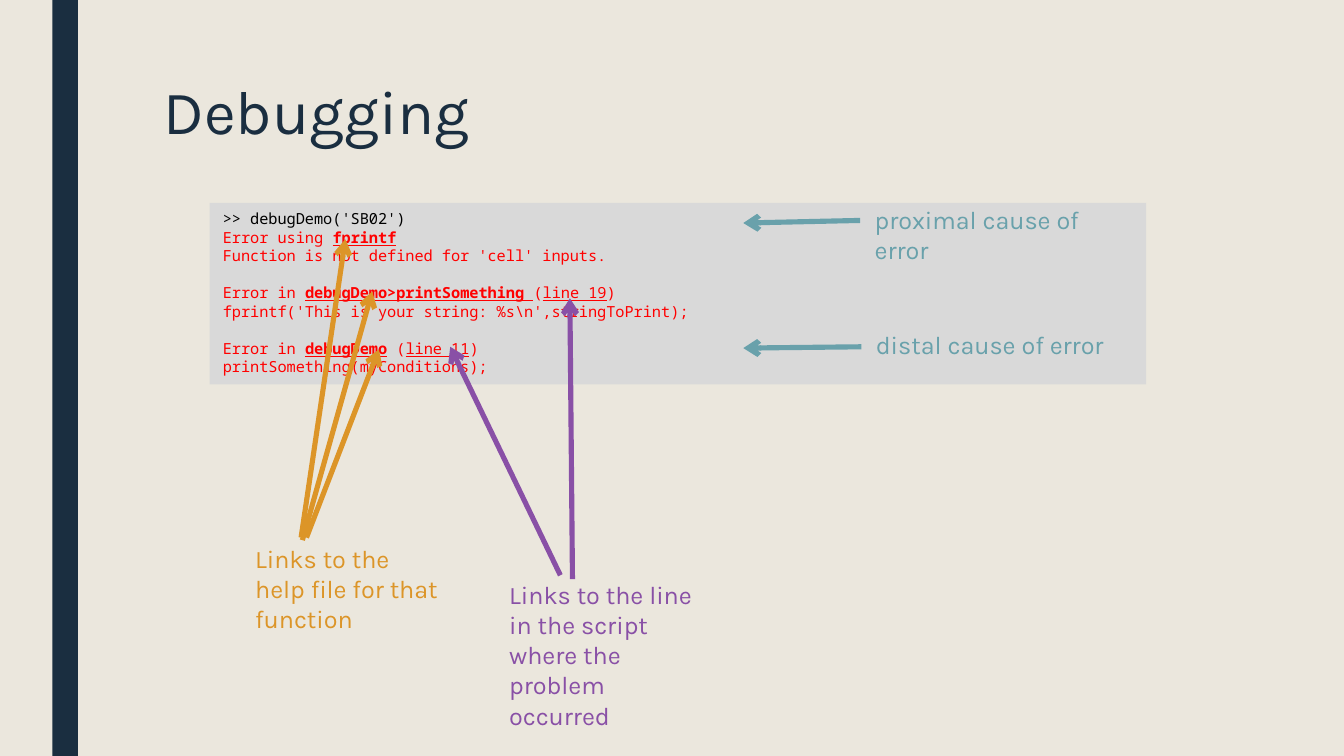
"""Build a slide that explains the parts of a debugging error message."""
from lxml import etree
from pptx import Presentation
from pptx.dml.color import RGBColor
from pptx.enum import shapes, text
from pptx.oxml import ns
from pptx.util import Pt

NAVY = RGBColor(0x1A, 0x2E, 0x40)
SAND = RGBColor(0xEB, 0xE7, 0xDD)
GRAY = RGBColor(0xD9, 0xD9, 0xD9)
BLACK = RGBColor(0, 0, 0)
RED = RGBColor(0xFF, 0, 0)
GOLD = RGBColor(0xDC, 0x95, 0x28)
PLUM = RGBColor(0x89, 0x50, 0xA6)
TEAL = RGBColor(0x69, 0xA1, 0xAB)

SANS, MONO = "Karla", "Noto Sans Mono"
PITCH = 9.9

# Each line: colour, gap before, runs of (words, bold, underline)
CODE = [
    (BLACK, 0, [(">> debugDemo('SB02')", False, False)]),
    (RED, 0, [("Error using ", False, False), ("fprintf", True, True)]),
    (RED, 0, [("Function is not defined for 'cell' inputs.", False, False)]),
    (RED, PITCH, [("Error in ", False, False),
                  ("debugDemo>printSomething ", True, True),
                  ("(", False, False), ("line 19", False, True),
                  (")", False, False)]),
    (RED, 0, [("fprintf('This is your string: %s\\n',stringToPrint);",
               False, False)]),
    (RED, PITCH, [("Error in ", False, False), ("debugDemo", True, True),
                  (" (", False, False), ("line 11", False, True),
                  (")", False, False)]),
    (RED, 0, [("printSomething(myConditions);", False, False)]),
]

# Each note: words, colour, box, arrows as (x1, y1, x2, y2)
NOTES = [
    ("Links to the help file for that function", GOLD,
     (129.6, 287.3, 113.8, 56.2),
     [(161.3, 288, 185, 128.2), (162, 289.4, 199.4, 156.2),
      (164.2, 288, 203, 187.2)]),
    ("Links to the line in the script where the problem occurred", PLUM,
     (265.7, 306.7, 113.8, 72.7),
     [(306.7, 310.3, 305.3, 159.8), (300.2, 308.2, 241.2, 185.8)]),
    ("proximal cause of error", TEAL, (461.5, 105.8, 146.9, 23.8),
     [(460.8, 118.1, 398.2, 119.5)]),
    ("distal cause of error", TEAL, (462.2, 172.8, 146.9, 23.8),
     [(461.5, 185.8, 398.2, 186.5)]),
]


def rect(slide, box, color):
    form = slide.shapes.add_shape(shapes.MSO_SHAPE.RECTANGLE, *map(Pt, box))
    form.shadow.inherit = False
    form.fill.solid()
    form.fill.fore_color.rgb = color
    form.line.fill.background()
    return form


def style(para, face, size, color):
    para.font.name = face
    para.font.size = Pt(size)
    para.font.color.rgb = color


def label(slide, words, box, size, color):
    frame = slide.shapes.add_textbox(*map(Pt, box)).text_frame
    frame.word_wrap = True
    para = frame.paragraphs[0]
    para.text = words
    style(para, SANS, size, color)
    return para


def arrow(slide, ends, color):
    line = slide.shapes.add_connector(
        shapes.MSO_CONNECTOR.STRAIGHT, *map(Pt, ends))
    line.line.color.rgb = color
    line.line.width = Pt(2.75)
    etree.SubElement(line.line._get_or_add_ln(), ns.qn("a:tailEnd"),
                     type="arrow")
    etree.SubElement(line._element.spPr, ns.qn("a:effectLst"))


def listing(slide):
    frame = rect(slide, (112.3, 108.7, 501.8, 97.2), GRAY).text_frame
    frame.word_wrap = True
    frame.vertical_anchor = text.MSO_ANCHOR.TOP
    for i, (color, gap, runs) in enumerate(CODE):
        para = frame.add_paragraph() if i else frame.paragraphs[0]
        para.alignment = text.PP_ALIGN.LEFT
        para.line_spacing = Pt(PITCH)
        para.space_before = Pt(gap)
        style(para, MONO, 8.2, color)
        for words, bold, under in runs:
            run = para.add_run()
            run.text = words
            run.font.bold = bold
            run.font.underline = under


def main():
    deck = Presentation()
    deck.slide_width, deck.slide_height = Pt(720), Pt(405)
    slide = deck.slides.add_slide(deck.slide_layouts[6])
    slide.background.fill.solid()
    slide.background.fill.fore_color.rgb = SAND

    rect(slide, (28.1, 0, 13.7, 405), NAVY)
    listing(slide)
    title = label(slide, "Debugging", (80.6, 40.3, 567.4, 87.8), 33, NAVY)
    title.line_spacing = 0.89
    for words, color, box, arrows in NOTES:
        label(slide, words, box, 13.5, color)
        for ends in arrows:
            arrow(slide, ends, color)
    deck.save("out.pptx")


if __name__ == "__main__":
    main()
